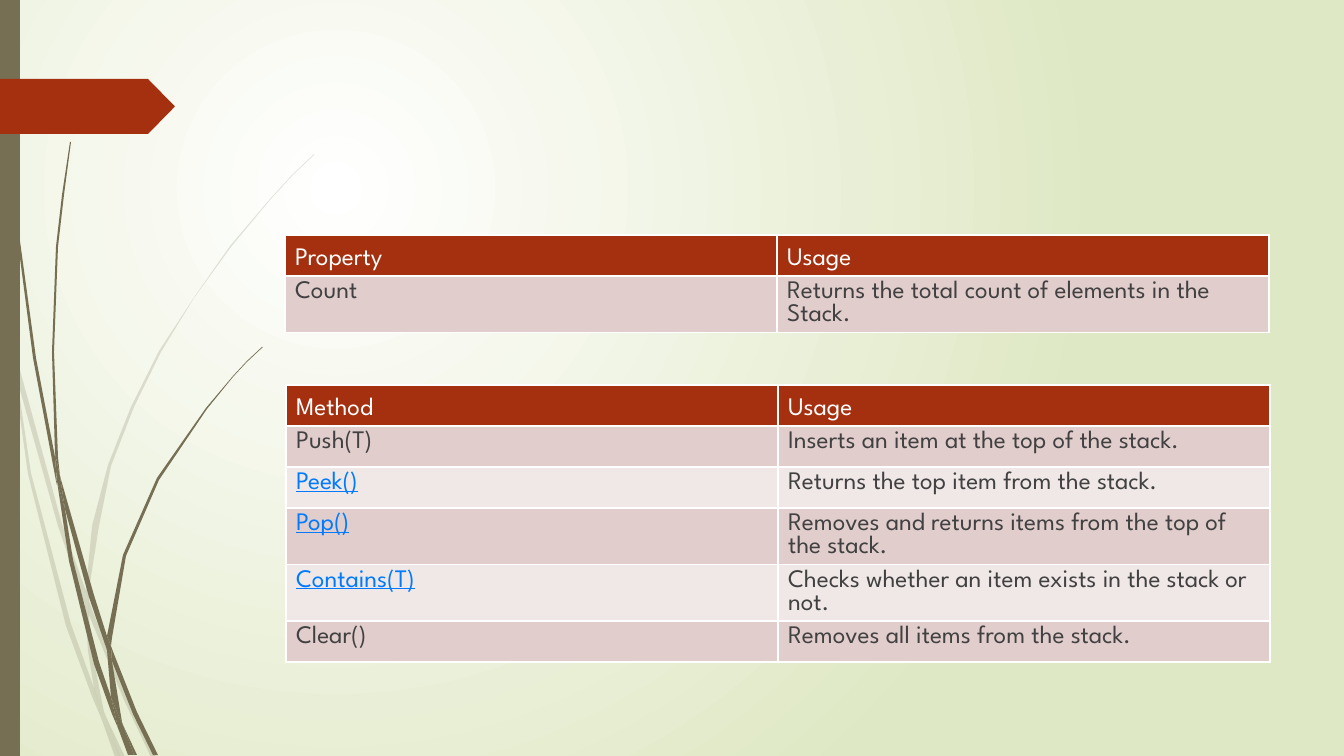
from pptx import Presentation
from pptx.dml.color import RGBColor
from pptx.enum.shapes import MSO_SHAPE
from pptx.enum.text import MSO_ANCHOR
from pptx.oxml import parse_xml
from pptx.oxml.ns import qn
from pptx.util import Pt

RECT, PENTAGON = MSO_SHAPE.RECTANGLE, MSO_SHAPE.PENTAGON
TOP, BOTTOM = MSO_ANCHOR.TOP, MSO_ANCHOR.BOTTOM
NS = 'xmlns:a="http://schemas.openxmlformats.org/drawingml/2006/main"'

THEME = {
    "font": "League Spartan", "size": 18, "text": "414141", "link": "007BFF",
    "header_text": "FFFFFF", "header": "A53010", "bands": ("E1CDCC", "F0E8E7"),
    "stalk": "766F54", "faint": 20, "glow": "FFFFFF", "edge": "DFE8C4",
}

PROPERTIES = [
    ("Property", "Usage"),
    ("Count", "Returns the total count of elements in the Stack."),
]
METHODS = [
    ("Method", "Usage"),
    ("Push(T)", "Inserts an item at the top of the stack."),
    ("Peek()", "Returns the top item from the stack."),
    ("Pop()", "Removes and returns items from the top of the stack."),
    ("Contains(T)", "Checks whether an item exists in the stack or not."),
    ("Clear()", "Removes all items from the stack."),
]
LINKS = {"Peek()", "Pop()", "Contains(T)"}
TABLES = [(285, 235, PROPERTIES), (286, 385, METHODS)]
COLUMN, ROW, TALL_ROW, LINE_CHARS = 492, 41, 56, 45

FAINT_STALKS = [
    [(11, 353), (9, 325), (0, 284), (0, 301), (10, 347)],
    [(58, 526), (85, 604), (86, 591), (62, 524), (14, 348), (17, 379)],
    [(93, 612), (89, 601), (89, 615), (124, 700), (151, 757), (156, 757),
     (128, 698)],
    [(120, 757), (125, 757), (106, 717)],
    [(94, 688), (71, 624), (31, 473), (17, 379), (11, 353), (28, 474),
     (66, 626), (93, 699), (102, 720), (100, 713)],
    [(85, 604), (88, 651), (94, 688), (97, 698), (106, 717), (104, 712),
     (92, 651), (89, 615), (89, 613)],
    [(89, 589), (99, 526), (111, 466), (134, 407), (161, 352), (194, 298),
     (231, 247), (270, 200), (292, 176), (314, 155), (314, 154), (291, 176),
     (270, 199), (230, 246), (195, 296), (159, 351), (131, 407), (108, 465),
     (92, 526), (86, 589), (86, 591), (89, 601)],
    [(102, 720), (115, 757), (120, 757)],
    [(89, 613), (89, 601), (86, 591), (85, 604)],
    [(97, 698), (94, 688), (100, 713), (102, 720), (120, 757), (106, 717)],
]
DARK_STALKS = [
    [(7, 111), (17, 235), (33, 358), (56, 481), (57, 485), (55, 457),
     (36, 358), (19, 234), (8, 110), (5, 48), (4, 0), (3, 0), (4, 48)],
    [(89, 597), (107, 650), (107, 636), (94, 595), (60, 476), (65, 509)],
    [(114, 654), (111, 646), (112, 661), (133, 714), (153, 755), (158, 755),
     (137, 712)],
    [(111, 697), (99, 662), (73, 560), (65, 509), (57, 481), (69, 561),
     (94, 664), (112, 714), (118, 728), (117, 723)],
    [(60, 476), (58, 457), (54, 352), (58, 247), (64, 195), (71, 142),
     (70, 142), (62, 195), (56, 247), (52, 352), (55, 453)],
    [(134, 755), (137, 755), (123, 725)],
    [(57, 481), (65, 509), (60, 476), (55, 453), (55, 457)],
    [(112, 638), (126, 556), (159, 480), (207, 409), (233, 377), (247, 362),
     (263, 347), (262, 347), (247, 361), (233, 376), (206, 408), (157, 478),
     (123, 555), (107, 636), (111, 646)],
    [(118, 728), (128, 755), (132, 755)],
    [(107, 650), (111, 697), (117, 712), (123, 725), (122, 722), (112, 661),
     (110, 656)],
    [(107, 650), (110, 656), (112, 661), (111, 646), (107, 636)],
    [(117, 712), (111, 697), (117, 723), (118, 728), (131, 755), (134, 755),
     (123, 725)],
]
PX = 12192000 / 1344


def px(n):
    return round(n * PX)


def rgb(name):
    return RGBColor.from_string(name)


def paint(sp, color, alpha=None):
    sp.shadow.inherit = False
    sp.fill.solid()
    sp.fill.fore_color.rgb = rgb(color)
    sp.line.fill.background()
    if alpha:
        clr = next(sp._element.spPr.iter(qn("a:srgbClr")))
        clr.append(parse_xml(f'<a:alpha {NS} val="{alpha * 1000}"/>'))


def add_stalk(shapes, outline, alpha=None):
    builder = shapes.build_freeform(*outline[0], scale=PX)
    builder.add_line_segments(outline[1:], close=True)
    paint(builder.convert_to_shape(), THEME["stalk"], alpha)


def add_preset(shapes, kind, box, color):
    sp = shapes.add_shape(kind, *map(px, box))
    paint(sp, color)
    return sp


def fill_cell(cell, text, row):
    header = row == 0
    cell.fill.solid()
    cell.fill.fore_color.rgb = rgb(
        THEME["header"] if header else THEME["bands"][(row - 1) % 2])
    cell.vertical_anchor = BOTTOM if header else TOP
    r = cell.text_frame.paragraphs[0].add_run()
    r.text = text
    link = text in LINKS
    r.font.name, r.font.size = THEME["font"], Pt(THEME["size"])
    r.font.bold, r.font.underline = False, link
    role = "header_text" if header else "link" if link else "text"
    r.font.color.rgb = rgb(THEME[role])


def add_usage_table(shapes, left, top, rows):
    heights = [TALL_ROW if len(usage) > LINE_CHARS else ROW for _, usage in rows]
    cols = len(rows[0])
    table = shapes.add_table(len(rows), cols, px(left), px(top),
                             px(COLUMN * cols), px(sum(heights))).table
    for column in table.columns:
        column.width = px(COLUMN)
    for i, (texts, height) in enumerate(zip(rows, heights)):
        table.rows[i].height = px(height)
        for j, text in enumerate(texts):
            fill_cell(table.cell(i, j), text, i)


def set_background(slide):
    fill = slide.background.fill
    fill.gradient()
    for stop, name in zip(fill.gradient_stops, ("glow", "edge")):
        stop.color.rgb = rgb(THEME[name])
    lin = next(slide._element.iter(qn("a:lin")))
    lin.getparent().replace(lin, parse_xml(
        f'<a:path {NS} path="circle"><a:fillToRect l="50000" t="50000" '
        'r="100000" b="100000"/></a:path>'))


prs = Presentation()
prs.slide_width, prs.slide_height = px(1344), px(756)
s = prs.slides.add_slide(prs.slide_layouts[6])
set_background(s)
for outline in FAINT_STALKS:
    add_stalk(s.shapes, outline, THEME["faint"])
for outline in DARK_STALKS:
    add_stalk(s.shapes, outline)
add_preset(s.shapes, RECT, (0, 0, 20, 756), THEME["stalk"])
arrow = add_preset(s.shapes, PENTAGON, (0, 79, 175, 55), THEME["header"])
arrow.adjustments[0] = 0.49
for left, top, rows in TABLES:
    add_usage_table(s.shapes, left, top, rows)
prs.save("out.pptx")
